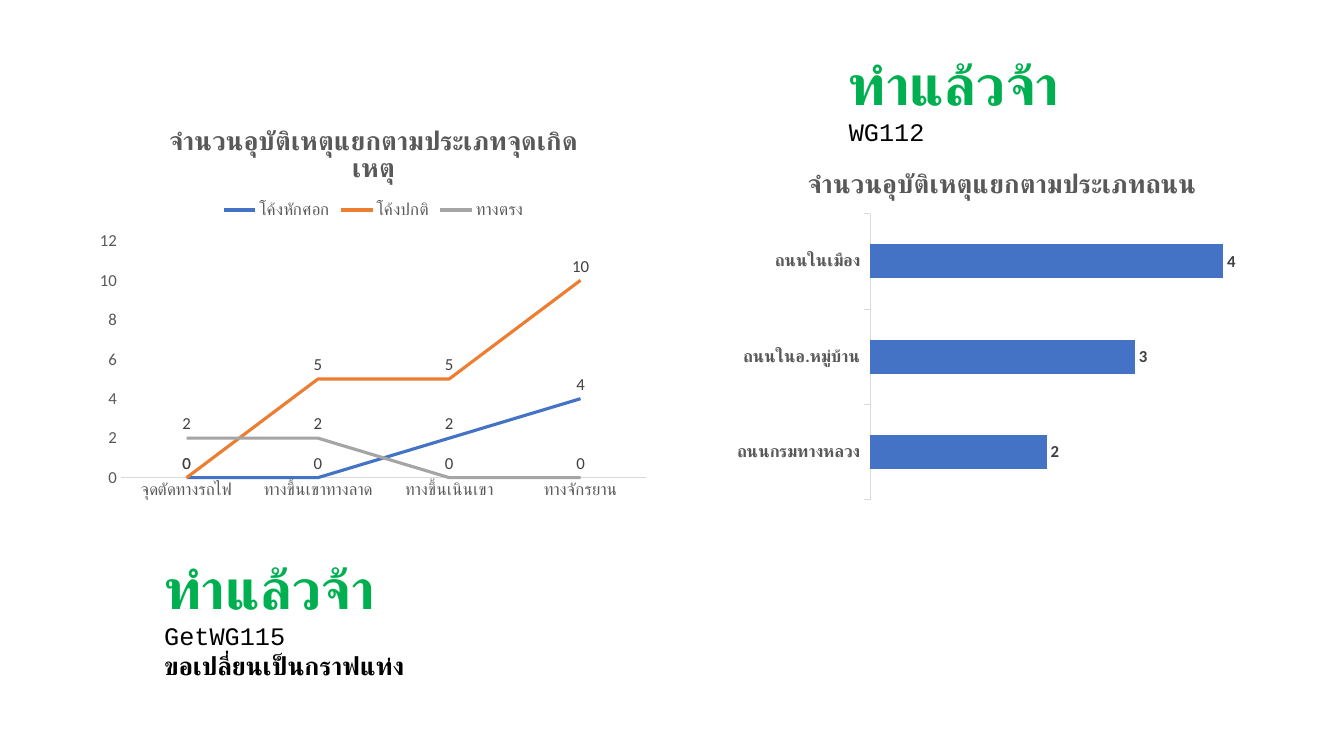
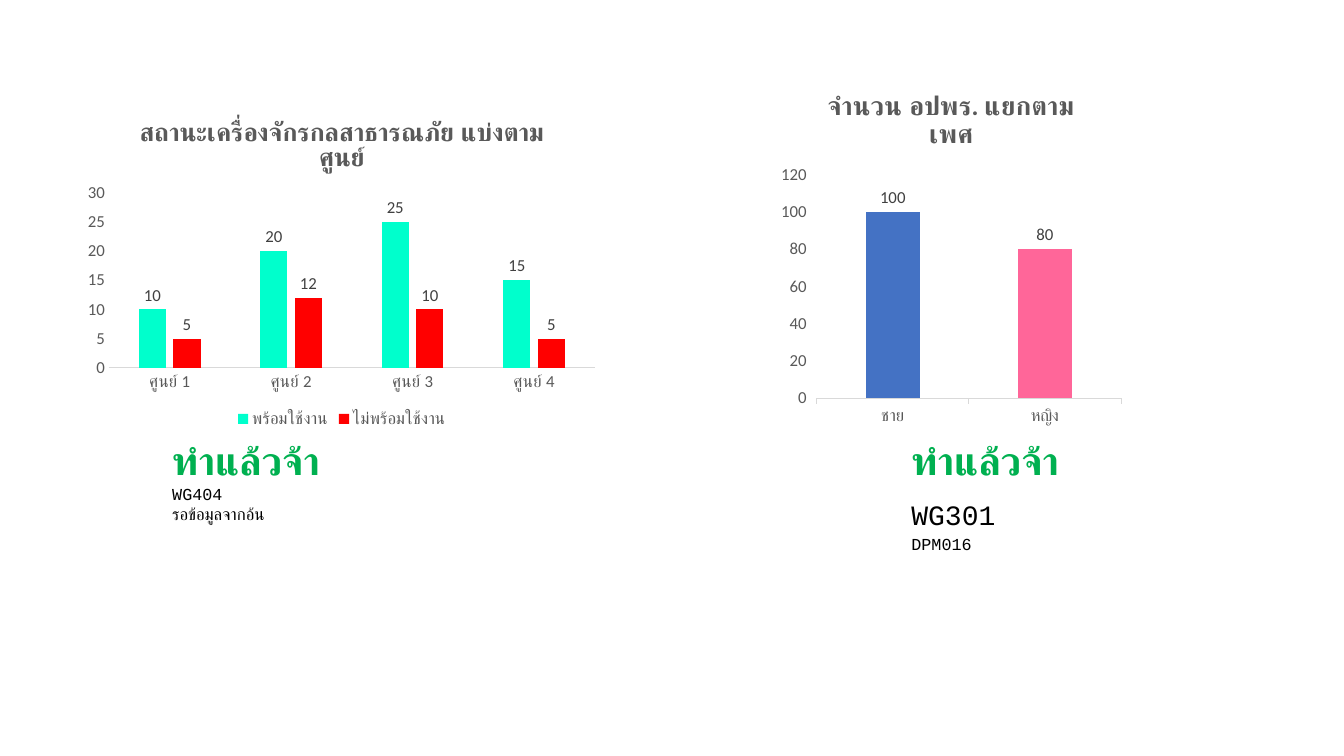
from lxml import etree
from pptx import Presentation
from pptx import util as u
from pptx.chart.data import CategoryChartData
from pptx.dml.color import RGBColor
from pptx.enum import chart as ch
from pptx.enum import text
from pptx.oxml.ns import qn

GREEN, BLACK, GREY, DARK, RULE = "00B050", "000000", "595959", "404040", "D9D9D9"
BLUE, ORANGE, SILVER = "4472C4", "ED7D31", "A5A5A5"
MINT, RED, PINK = "00FFCC", "FF0000", "FF6699"
BODY, CODE = "Calibri", "Courier New"
DONE = "ทำแล้วจ้า"


def rgb(value):
    """Return the colour for a hex string."""
    return RGBColor.from_string(value)


def style(font, size, color, bold=False, name=BODY):
    """Apply size, colour, weight and typeface to a font."""
    font.size, font.bold, font.name = u.Pt(size), bold, name
    font.color.rgb = rgb(color)


def write(tf, content, first=False, before=0, after=0, **fmt):
    """Write one formatted paragraph into a text frame."""
    p = tf.paragraphs[0] if first else tf.add_paragraph()
    p.space_before, p.space_after = u.Pt(before), u.Pt(after)
    r = p.add_run()
    r.text = content
    style(r.font, **fmt)


def add_note(s, box, size, lines):
    """Add the green done heading followed by its note lines."""
    tf = s.shapes.add_textbox(*map(u.Inches, box)).text_frame
    tf.word_wrap = True
    tf.auto_size = text.MSO_AUTO_SIZE.SHAPE_TO_FIT_TEXT
    write(tf, DONE, first=True, size=size, color=GREEN, bold=True)
    for content, fmt in lines:
        write(tf, content, **{"color": BLACK, "name": CODE, **fmt})


def place_plot(chart, box, plot):
    """Fix the inner plot area, given in slide inches, within the chart box."""
    area = chart.element.find(".//" + qn("c:plotArea"))
    for old in area.findall(qn("c:layout")):
        area.remove(old)
    layout = etree.Element(qn("c:layout"))
    manual = etree.SubElement(layout, qn("c:manualLayout"))
    left, top, width, height = box
    values = [("layoutTarget", "inner"), ("xMode", "edge"), ("yMode", "edge"),
              ("x", (plot[0] - left) / width), ("y", (plot[1] - top) / height),
              ("w", plot[2] / width), ("h", plot[3] / height)]
    for tag, value in values:
        etree.SubElement(manual, qn("c:" + tag)).set("val", str(value))
    area.insert(0, layout)


def style_axes(chart, top, step, tick, bold, show_values):
    """Style both axes and set the value scale."""
    cat, val = chart.category_axis, chart.value_axis
    for axis in (cat, val):
        axis.has_major_gridlines = False
        axis.major_tick_mark = tick
        axis.minor_tick_mark = ch.XL_TICK_MARK.NONE
        style(axis.tick_labels.font, 12, GREY, bold)
    cat.format.line.color.rgb = rgb(RULE)
    cat.format.line.width = u.Pt(0.75)
    val.format.line.fill.background()
    val.minimum_scale, val.maximum_scale, val.major_unit = 0, top, step
    val.visible = show_values


def style_series(series, color, is_line, bold):
    """Colour one series and show its values."""
    if is_line:
        series.smooth = False
        series.marker.style = ch.XL_MARKER_STYLE.NONE
        series.format.line.color.rgb = rgb(color)
        series.format.line.width = u.Pt(2.25)
    else:
        series.format.fill.solid()
        series.format.fill.fore_color.rgb = rgb(color)
    labels = series.data_labels
    labels.show_value = True
    labels.position = (ch.XL_LABEL_POSITION.ABOVE if is_line
                       else ch.XL_LABEL_POSITION.OUTSIDE_END)
    style(labels.font, 12, DARK, bold)


def add_chart(s, box, plot, kind, title, cats, series, top, step, title_size=18.6,
              legend=None, gap=182, overlap=0, ticks=False, bold=False,
              show_values=True):
    """Add a titled chart and return it."""
    data = CategoryChartData()
    data.categories = cats
    for name, values, _ in series:
        data.add_series(name, values)
    chart = s.shapes.add_chart(kind, *map(u.Inches, box), data).chart
    style(chart.font, 10, BLACK, bold)
    chart.has_title = True
    write(chart.chart_title.text_frame, title, first=True,
          size=title_size, color=GREY, bold=True)
    chart.has_legend = legend is not None
    if chart.has_legend:
        chart.legend.position = legend
        chart.legend.include_in_layout = False
        style(chart.legend.font, 12, GREY)
    tick = ch.XL_TICK_MARK.OUTSIDE if ticks else ch.XL_TICK_MARK.NONE
    style_axes(chart, top, step, tick, bold, show_values)
    is_line = kind == ch.XL_CHART_TYPE.LINE
    if not is_line:
        chart.plots[0].gap_width, chart.plots[0].overlap = gap, overlap
    chart.plots[0].vary_by_categories = False
    for item, (_, _, color) in zip(chart.plots[0].series, series):
        style_series(item, color, is_line, bold)
    place_plot(chart, box, plot)
    return chart


def accident_slide(s):
    """Build the slide on accidents by road type and by spot."""
    add_chart(s, (7.2, 1.51, 5.48, 3.52), (8.63, 2.12, 3.94, 2.84),
              ch.XL_CHART_TYPE.BAR_CLUSTERED, "จำนวนอุบัติเหตุแยกตามประเภทถนน",
              ["ถนนกรมทางหลวง", "ถนนในอ.หมู่บ้าน", "ถนนในเมือง"],
              [("Series 1", (2, 3, 4), BLUE)], 4.5, 0.5,
              ticks=True, bold=True, show_values=False)
    add_chart(s, (0.88, 1.08, 5.65, 3.95), (1.2, 2.39, 5.21, 2.35),
              ch.XL_CHART_TYPE.LINE, "จำนวนอุบัติเหตุแยกตามประเภทจุดเกิดเหตุ",
              ["จุดตัดทางรถไฟ", "ทางขึ้นเขาทางลาด", "ทางขึ้นเนินเขา", "ทางจักรยาน"],
              [("โค้งหักศอก", (0, 0, 2, 4), BLUE),
               ("โค้งปกติ", (0, 5, 5, 10), ORANGE),
               ("ทางตรง", (2, 2, 0, 0), SILVER)], 12, 2,
              legend=ch.XL_LEGEND_POSITION.TOP)
    add_note(s, (8.32, 0.44, 2.5, 1.08), 40, [("WG112", {"size": 18})])
    add_note(s, (1.53, 5.44, 3.48, 1.38), 40,
             [("GetWG115", {"size": 18}),
              ("ขอเปลี่ยนเป็นกราฟแท่ง", {"size": 18, "bold": True})])


def resource_slide(s):
    """Build the slide on machinery status and volunteers by gender."""
    add_chart(s, (0.77, 1.01, 5.24, 3.27), (1.08, 1.91, 4.82, 1.74),
              ch.XL_CHART_TYPE.COLUMN_CLUSTERED,
              "สถานะเครื่องจักรกลสาธารณภัย แบ่งตามศูนย์",
              [f"ศูนย์ {n}" for n in range(1, 5)],
              [("พร้อมใช้งาน", (10, 20, 25, 15), MINT),
               ("ไม่พร้อมใช้งาน", (5, 12, 10, 5), RED)], 30, 5, title_size=18,
              legend=ch.XL_LEGEND_POSITION.BOTTOM, gap=219, overlap=-27)
    chart = add_chart(s, (7.68, 0.69, 3.51, 3.59), (8.1, 1.73, 3.02, 2.22),
                      ch.XL_CHART_TYPE.COLUMN_CLUSTERED, "จำนวน อปพร. แยกตามเพศ",
                      ["ชาย", "หญิง"], [("Series 1", (100, 80), BLUE)], 120, 20,
                      ticks=True)
    fill = chart.plots[0].series[0].points[1].format.fill
    fill.solid()
    fill.fore_color.rgb = rgb(PINK)
    add_note(s, (1.61, 4.28, 5.37, 1.18), 28,
             [("WG404", {"size": 12}),
              ("รอข้อมูลจากอ้น", {"size": 12, "name": "Cabin"})])
    add_note(s, (8.94, 4.28, 3.48, 1.25), 28,
             [("WG301", {"size": 20, "before": 10, "after": 2}),
              ("DPM016", {"size": 12})])


def main():
    """Build and save the presentation."""
    prs = Presentation()
    prs.slide_width, prs.slide_height = u.Inches(13.33), u.Inches(7.5)
    for build in (accident_slide, resource_slide):
        build(prs.slides.add_slide(prs.slide_layouts[6]))
    prs.save("out.pptx")


if __name__ == "__main__":
    main()
